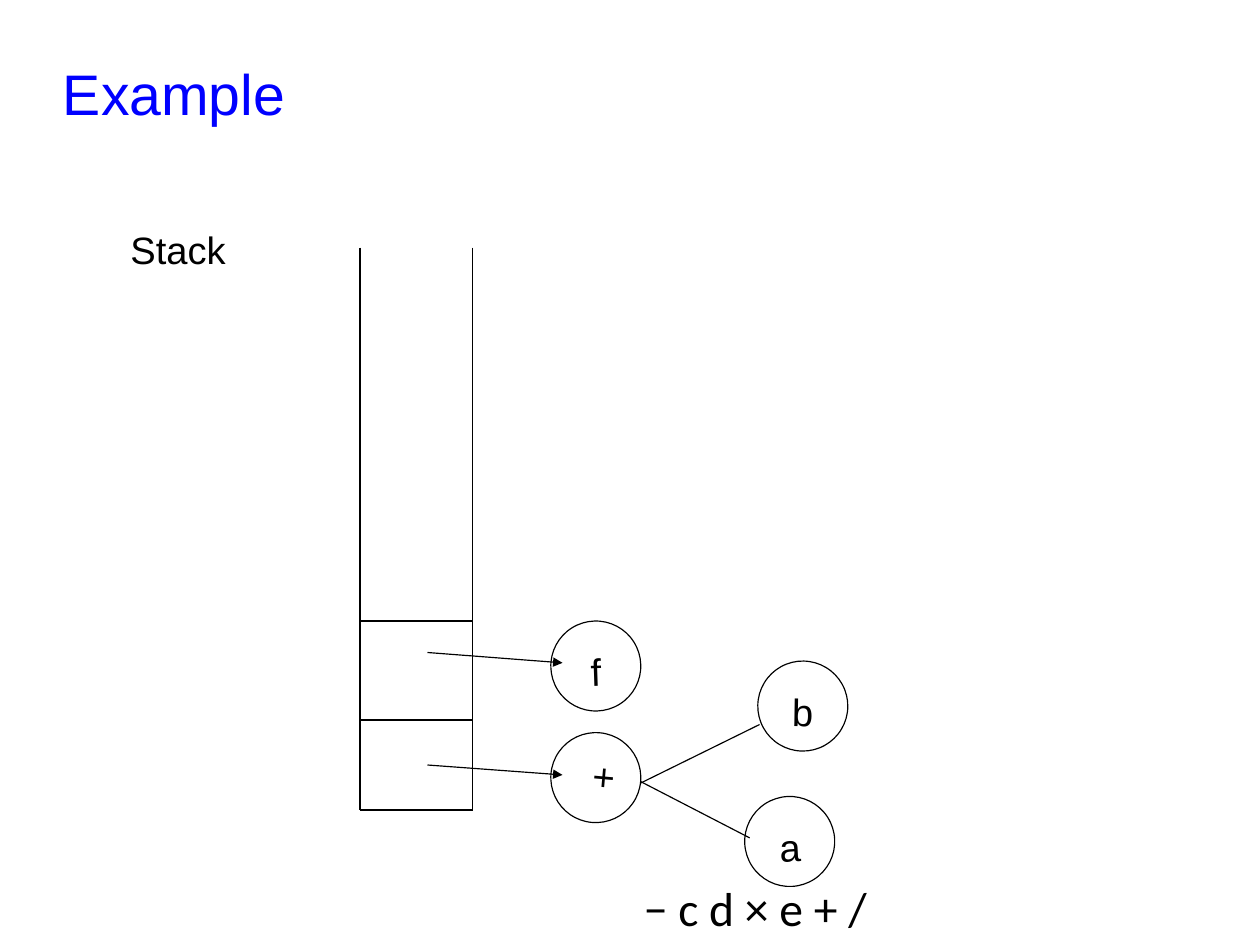
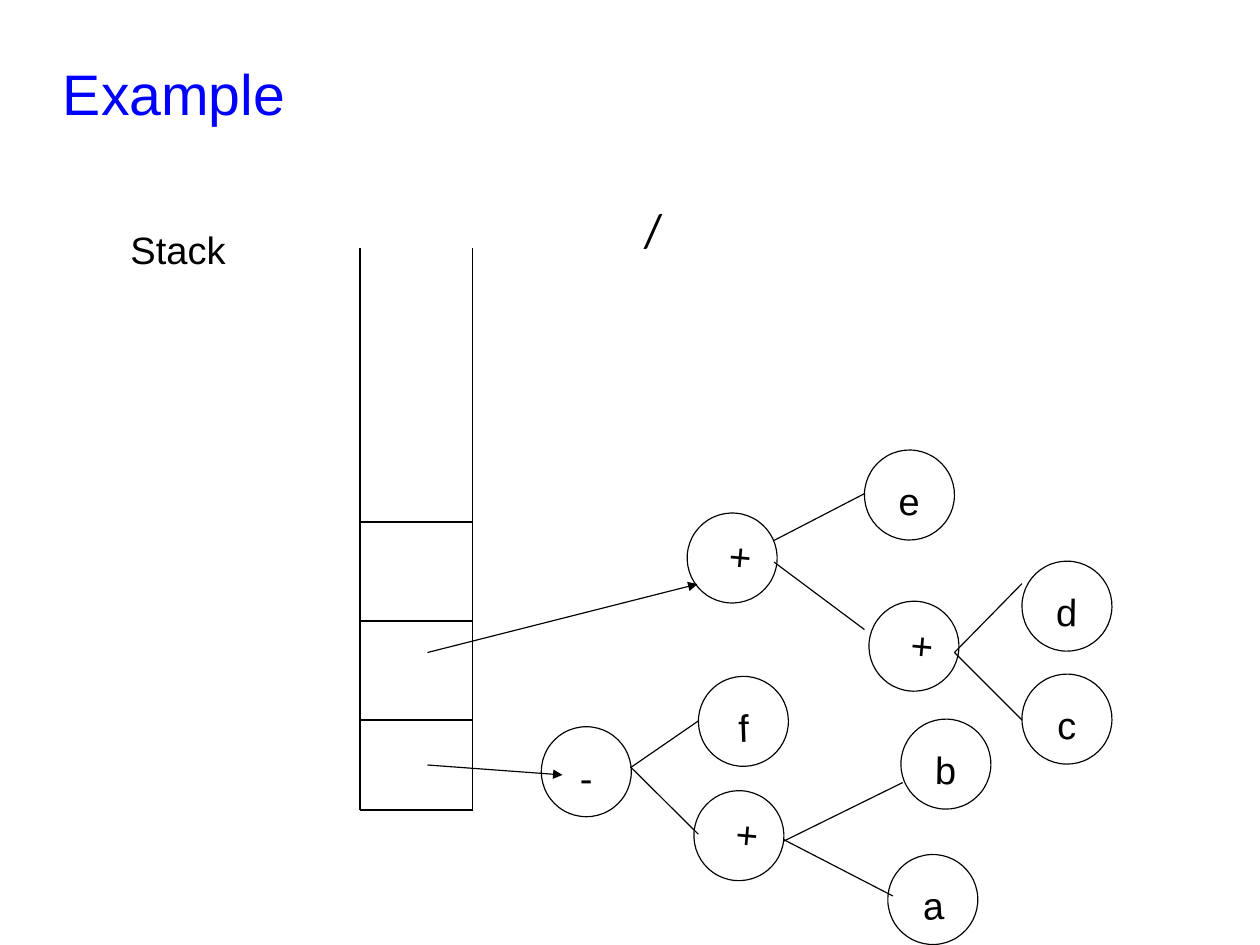
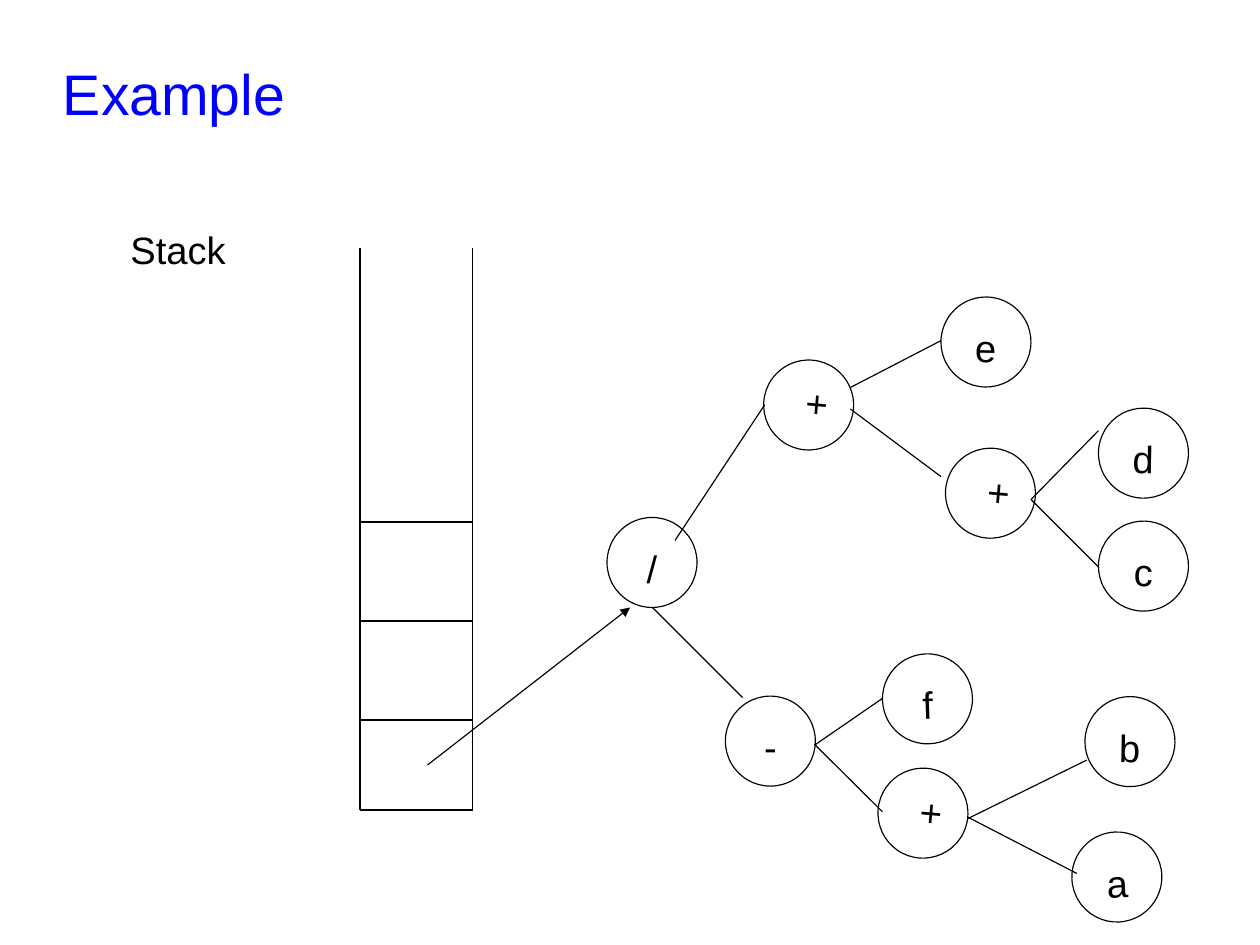
"""Three slides that build an expression tree from a postfix expression."""
from dataclasses import dataclass

from lxml import etree
from pptx import Presentation
from pptx import util as u
from pptx.dml.color import RGBColor
from pptx.enum import shapes, text
from pptx.oxml.ns import qn


@dataclass(frozen=True)
class Theme:
    """Colours, fonts and sizes that all slides share."""
    title_color: RGBColor = RGBColor(0x00, 0x00, 0xFF)
    ink: RGBColor = RGBColor(0x00, 0x00, 0x00)
    font: str = "Arial"
    input_font: str = "Calibri"
    title_size: int = 36
    label_size: int = 24
    input_size: int = 30
    line_width: float = 0.74
    spacing: float = 1.24
    input_spacing: float = 1.03
    node_size: float = 2


THEME = Theme()
STACK_LEFT, STACK_RIGHT = 8, 10.5
STACK_TOP, STACK_BOTTOM = 5.5, 18
CELL_TOPS = (16, 13.8, 11.6)
POINTER_X = 9.5
TILT = {"a": 357, "b": 1, "c": 1, "d": 1, "e": 1, "f": 358, "+": 275}


def write(paragraph, wording, size, color=THEME.ink, font=THEME.font,
          spacing=THEME.spacing):
    """Add one styled run to a paragraph."""
    paragraph.line_spacing = spacing
    run = paragraph.add_run()
    run.text = wording
    run.font.size = u.Pt(size)
    run.font.name = font
    run.font.color.rgb = color


def set_margins(frame, horizontal, vertical):
    """Set the inner margins of a text frame, in centimetres."""
    frame.margin_left = frame.margin_right = u.Cm(horizontal)
    frame.margin_top = frame.margin_bottom = u.Cm(vertical)


def text_area(slide, left, top, width, height, margins=(0, 0)):
    """Add a wrapping text box and return its text frame."""
    box = slide.shapes.add_textbox(*map(u.Cm, (left, top, width, height)))
    frame = box.text_frame
    frame.word_wrap = True
    set_margins(frame, *margins)
    return frame


def remaining_input(slide, top, symbols):
    """Show the postfix symbols that are still to be read."""
    paragraph = text_area(slide, 12.52, top, 15, 1.32).paragraphs[0]
    paragraph.space_after = u.Pt(5.8)
    paragraph._p.get_or_add_pPr().set("marL", str(u.Cm(1.79)))
    write(paragraph, symbols, THEME.input_size, font=THEME.input_font,
          spacing=THEME.input_spacing)


def line(parts, start, end, arrow=False):
    """Draw a thin line, with an arrowhead at its end if asked."""
    connector = parts.add_connector(shapes.MSO_CONNECTOR.STRAIGHT,
                                    *map(u.Cm, (*start, *end)))
    connector.line.width = u.Pt(THEME.line_width)
    connector.line.color.rgb = THEME.ink
    properties = connector._element.spPr
    if arrow:
        etree.SubElement(properties.find(qn("a:ln")), qn("a:tailEnd"),
                         type="triangle")
    etree.SubElement(properties, qn("a:effectLst"))


def pointer(slide, y, target):
    """Point from a stack cell to the root of a tree."""
    line(slide.shapes, (POINTER_X, y), target, arrow=True)


def node(parts, x, y, symbol):
    """Draw a tree node with its symbol."""
    circle = parts.add_shape(shapes.MSO_SHAPE.OVAL, u.Cm(x), u.Cm(y),
                             u.Cm(THEME.node_size), u.Cm(THEME.node_size))
    circle.rotation = TILT.get(symbol, 0)
    circle.shadow.inherit = False
    circle.fill.background()
    circle.line.color.rgb = THEME.ink
    circle.line.width = u.Pt(THEME.line_width)
    frame = circle.text_frame
    frame.word_wrap = False
    frame.vertical_anchor = text.MSO_ANCHOR.MIDDLE
    set_margins(frame, 0.25, 0.13)
    paragraph = frame.paragraphs[0]
    paragraph.alignment = text.PP_ALIGN.CENTER
    write(paragraph, symbol, THEME.label_size)


def tree(parts, x, y, nodes, edges):
    """Draw nodes and edges given by their offsets from (x, y)."""
    for symbol, dx, dy in nodes:
        node(parts, x + dx, y + dy, symbol)
    for x1, y1, x2, y2 in edges:
        line(parts, (x + x1, y + y1), (x + x2, y + y2))


def sum_tree(slide, x, y):
    """Draw the tree of a and b with its root at (x, y)."""
    tree(slide.shapes, x, y,
         nodes=[("b", 4.6, -1.59), ("a", 4.31, 1.42), ("+", 0, 0)],
         edges=[(4.42, 2.34, 2, 1.09), (2, 1.12, 4.64, -0.18)])


def difference_tree(slide, x, y, root_rise):
    """Draw the tree of f and the sum, whose root is at (x, y)."""
    sum_tree(slide, x, y)
    tree(slide.shapes, x, y,
         nodes=[("f", 0.1, -2.54), ("-", -3.39, -root_rise)],
         edges=[(-1.41, -0.51, 0.1, -1.55), (-1.41, -0.53, 0.1, 0.97)])


def product_tree(slide, x, y):
    """Draw the grouped tree of c, d and e with its root at (x, y)."""
    tree(slide.shapes.add_group_shape().shapes, x, y,
         nodes=[("c", 7.44, 3.58), ("d", 7.44, 1.07), ("+", 4.04, 1.96),
                ("e", 3.94, -1.4), ("+", 0, 0)],
         edges=[(5.94, 3.1, 7.44, 4.6), (5.94, 3.1, 7.44, 1.57),
                (1.93, 0.61, 3.94, -0.43), (1.93, 1.09, 3.94, 2.59)])


def stack_slide(deck, cells):
    """Add a slide with the title and a stack of closed cells."""
    slide = deck.slides.add_slide(deck.slide_layouts[6])
    title = text_area(slide, 1.4, 0.84, 25.12, 2.08)
    title.vertical_anchor = text.MSO_ANCHOR.MIDDLE
    write(title.paragraphs[0], "Example", THEME.title_size, THEME.title_color)
    label = text_area(slide, 2.5, 4.5, 3.5, 1.8, margins=(0.4, 0.28))
    write(label.paragraphs[0], "Stack", THEME.label_size)
    for x in (STACK_LEFT, STACK_RIGHT):
        line(slide.shapes, (x, STACK_TOP), (x, STACK_BOTTOM))
    for y in (STACK_BOTTOM, *CELL_TOPS[:cells]):
        line(slide.shapes, (STACK_LEFT, y), (STACK_RIGHT, y))
    return slide


def operand_slide(deck):
    """Show the stack after f was pushed."""
    slide = stack_slide(deck, cells=2)
    pointer(slide, 17, (12.5, 17.22))
    sum_tree(slide, 12.24, 16.28)
    remaining_input(slide, 19.5, "− c d × e + /")
    pointer(slide, 14.5, (12.5, 14.73))
    node(slide.shapes, 12.24, 13.8, "f")


def subtrees_slide(deck):
    """Show the two subtrees before the division."""
    slide = stack_slide(deck, cells=3)
    pointer(slide, 17, (12.5, 17.22))
    difference_tree(slide, 15.42, 17.57, root_rise=1.42)
    remaining_input(slide, 4.4, "/")
    pointer(slide, 14.5, (15.5, 12.98))
    product_tree(slide, 15.27, 11.4)


def final_slide(deck):
    """Show the complete expression tree."""
    slide = stack_slide(deck, cells=3)
    pointer(slide, 17, (14, 13.5))
    difference_tree(slide, 19.51, 17.07, root_rise=1.6)
    product_tree(slide, 16.97, 8)
    tree(slide.shapes, 13.49, 11.5, nodes=[("/", 0, 0)],
         edges=[(1.51, 0.51, 3.5, -2.5), (1.01, 2, 3.01, 4)])


def main():
    """Build and save the deck."""
    deck = Presentation()
    deck.slide_width, deck.slide_height = u.Cm(28), u.Cm(21)
    operand_slide(deck)
    subtrees_slide(deck)
    final_slide(deck)
    deck.save("out.pptx")


main()
